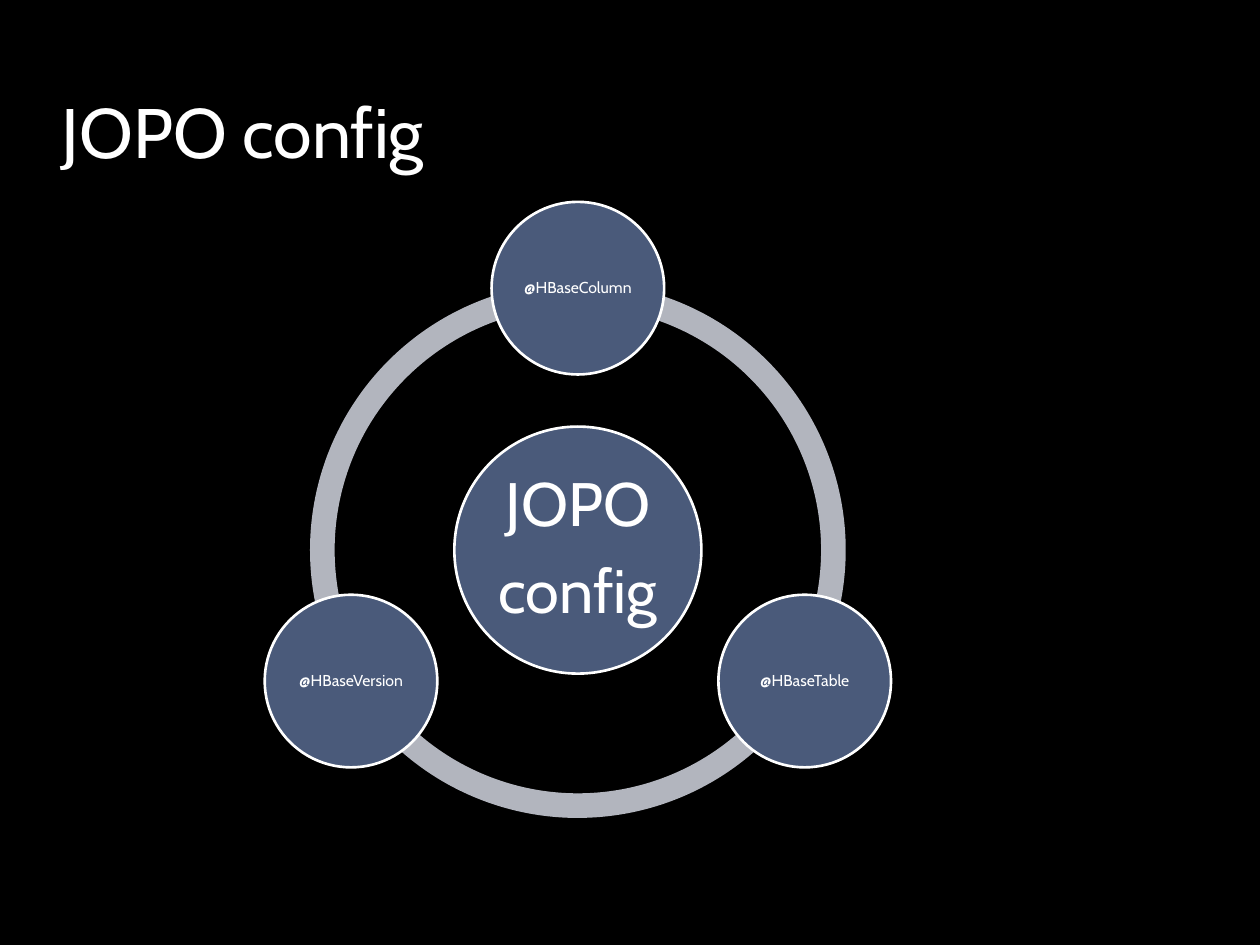
import math
from dataclasses import dataclass

import pptx
import pptx.dml.color
import pptx.enum.shapes
import pptx.enum.text
import pptx.util

Cm = pptx.util.Cm
Pt = pptx.util.Pt
SHAPE = pptx.enum.shapes.MSO_SHAPE
ALIGN = pptx.enum.text.PP_ALIGN
ANCHOR = pptx.enum.text.MSO_ANCHOR

BLACK, WHITE, NAVY, SILVER = "000000", "FFFFFF", "4A5A7A", "B2B5BE"
CENTER_X, CENTER_Y = 11.65, 11.09
RING_DIAMETER = 10.8
RING_THICKNESS = 0.046
ORBIT_RADIUS = 5.28
ANGLE_UNIT = 0.6


@dataclass
class Circle:
    lines: list[str]
    diameter: float
    size: float
    inset: float
    angle: float = 0
    orbit: float = 0


def set_color(color_format, value: str) -> None:
    color_format.rgb = pptx.dml.color.RGBColor.from_string(value)


def fill_solid(fill, value: str) -> None:
    fill.solid()
    set_color(fill.fore_color, value)


def write_text(frame, lines: list[str], *, size: float, align, anchor,
               inset: float | None = None, line_spacing: float = 1.0,
               before: float = 0, after: float = 0) -> None:
    frame.word_wrap = True
    frame.auto_size = pptx.enum.text.MSO_AUTO_SIZE.NONE
    frame.vertical_anchor = anchor
    if inset is not None:
        frame.margin_left = frame.margin_right = Cm(inset)
        frame.margin_top = frame.margin_bottom = Cm(inset)
    for index, line in enumerate(lines):
        paragraph = frame.add_paragraph() if index else frame.paragraphs[0]
        paragraph.alignment = align
        paragraph.line_spacing = line_spacing
        paragraph.space_before = Pt(before)
        paragraph.space_after = Pt(after)
        run = paragraph.add_run()
        run.text = line
        run.font.name = "Cabin"
        run.font.size = Pt(size)
        set_color(run.font.color, WHITE)


def add_centered(slide, kind, x: float, y: float, diameter: float, color: str):
    shape = slide.shapes.add_shape(kind, Cm(x - diameter / 2), Cm(y - diameter / 2),
                                   Cm(diameter), Cm(diameter))
    shape.shadow.inherit = False
    fill_solid(shape.fill, color)
    return shape


def draw_arc(slide, start: float, end: float) -> None:
    arc = add_centered(slide, SHAPE.BLOCK_ARC, CENTER_X, CENTER_Y, RING_DIAMETER, SILVER)
    arc.line.fill.background()
    arc.adjustments[0] = start * ANGLE_UNIT
    arc.adjustments[1] = end * ANGLE_UNIT
    arc.adjustments[2] = RING_THICKNESS


def draw_circle(slide, circle: Circle) -> None:
    angle = math.radians(circle.angle)
    disc = add_centered(slide, SHAPE.OVAL,
                        CENTER_X + circle.orbit * math.cos(angle),
                        CENTER_Y + circle.orbit * math.sin(angle),
                        circle.diameter, NAVY)
    set_color(disc.line.color, WHITE)
    disc.line.width = Pt(1.5)
    write_text(disc.text_frame, circle.lines, size=circle.size, align=ALIGN.CENTER,
               anchor=ANCHOR.MIDDLE, inset=circle.inset, line_spacing=0.9,
               after=0.35 * circle.size)


def main() -> None:
    deck = pptx.Presentation()
    deck.slide_width, deck.slide_height = Cm(25.4), Cm(19.05)
    slide = deck.slides.add_slide(deck.slide_layouts[5])
    fill_solid(slide.background.fill, BLACK)

    title = slide.shapes.title
    title.left, title.top = Cm(0.99), Cm(0.64)
    title.width, title.height = Cm(21.34), Cm(2.97)
    write_text(title.text_frame, ["JOPO config"], size=40, align=ALIGN.LEFT,
               anchor=ANCHOR.BOTTOM, before=4)

    for start, end in ((90, 162), (18, 90), (162, 18)):
        draw_arc(slide, start, end)

    draw_circle(slide, Circle(["JOPO", "config"], 4.98, 35, 0.12))
    annotations = ["@HBaseColumn", "@HBaseTable", "@HBaseVersion"]
    for index, annotation in enumerate(annotations):
        draw_circle(slide, Circle([annotation], 3.48, 9, 0.03,
                                  angle=-90 + index * 360 / len(annotations),
                                  orbit=ORBIT_RADIUS))

    deck.save("out.pptx")


if __name__ == "__main__":
    main()
